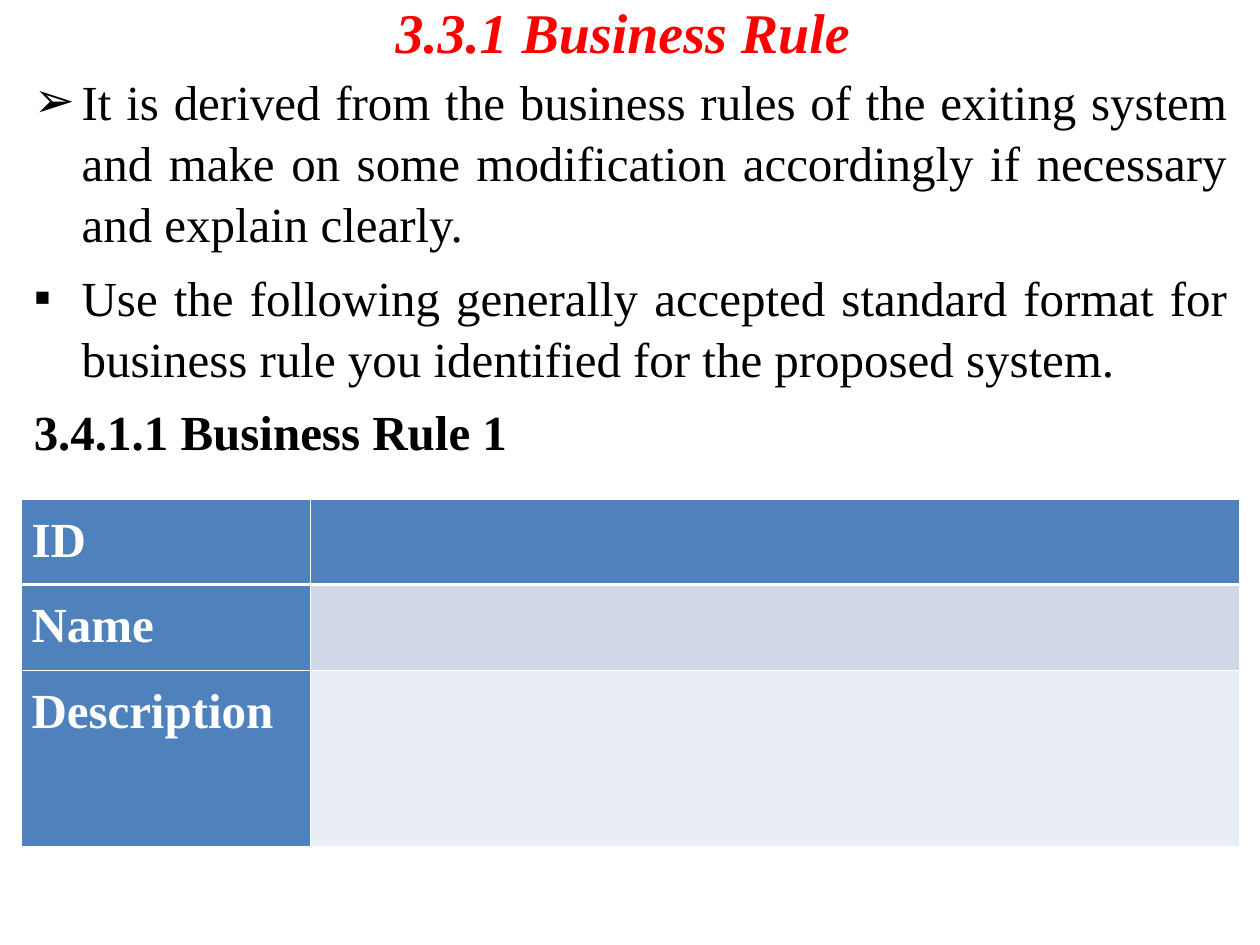
from dataclasses import dataclass

from lxml.etree import SubElement
from pptx import Presentation
from pptx.dml.color import RGBColor
from pptx.enum.text import MSO_ANCHOR, PP_ALIGN
from pptx.oxml.ns import qn
from pptx.util import Inches, Pt

COLORS = {
    "title": "FF0000", "text": "000000", "white": "FFFFFF",
    "header": "4F81BD", "band": "D0D8E8", "light": "E9EDF4",
}
BODY_FONT = {"name": "Times New Roman", "size": Pt(28)}
BOLD_FONT = BODY_FONT | {"bold": True}
TITLE_FONT = BOLD_FONT | {"size": Pt(32), "italic": True}
THIN, THICK = 0.45, 1.47


@dataclass
class BodyItem:
    text: str
    bullet: str = ""
    bold: bool = False


@dataclass
class TableRow:
    label: str
    height: float
    value_fill: str
    top_border: float = THIN
    bottom_border: float = THIN


BODY_ITEMS = [
    BodyItem("It is derived from the business rules of the exiting system and make on "
             "some modification accordingly if necessary and explain clearly.", "➢"),
    BodyItem("Use the following generally accepted standard format for business rule "
             "you identified for the proposed system.", "▪"),
    BodyItem("3.4.1.1 Business Rule 1", bold=True),
]
TABLE_ROWS = [
    TableRow("ID", 0.68, "header", bottom_border=THICK),
    TableRow("Name", 0.68, "band", top_border=THICK),
    TableRow("Description", 1.4, "light"),
]
COLUMN_WIDTHS = [2.29, 7.38]


def color(name: str) -> RGBColor:
    return RGBColor.from_string(COLORS[name])


def format_font(font, values: dict, color_name: str) -> None:
    for attribute, value in values.items():
        setattr(font, attribute, value)
    font.color.rgb = color(color_name)


def add_text_frame(slide, left: float, top: float, width: float, height: float):
    text_frame = slide.shapes.add_textbox(
        Inches(left), Inches(top), Inches(width), Inches(height)).text_frame
    text_frame.word_wrap = True
    return text_frame


def set_bullet(paragraph, character: str) -> None:
    properties = paragraph._p.get_or_add_pPr()
    properties.set("marL", str(Inches(0.38)))
    properties.set("indent", str(Inches(-0.38)))
    if character:
        SubElement(properties, qn("a:buFont"), typeface="Arial")
        SubElement(properties, qn("a:buChar"), char=character)
    else:
        SubElement(properties, qn("a:buNone"))


def set_borders(cell, row: TableRow) -> None:
    properties = cell._tc.get_or_add_tcPr()
    widths = {"lnL": THIN, "lnR": THIN, "lnT": row.top_border, "lnB": row.bottom_border}
    for side, width in widths.items():
        line = SubElement(properties, qn(f"a:{side}"), w=str(Pt(width)))
        fill = SubElement(line, qn("a:solidFill"))
        SubElement(fill, qn("a:srgbClr"), val=COLORS["white"])


def add_title(slide) -> None:
    text_frame = add_text_frame(slide, 0.5, 0, 9, 0.5)
    text_frame.vertical_anchor = MSO_ANCHOR.MIDDLE
    paragraph = text_frame.paragraphs[0]
    paragraph.text = "3.3.1 Business Rule "
    paragraph.alignment = PP_ALIGN.CENTER
    format_font(paragraph.runs[0].font, TITLE_FONT, "title")


def add_body(slide, items: list[BodyItem]) -> None:
    text_frame = add_text_frame(slide, 0.17, 0.5, 9.67, 6.92)
    for index, item in enumerate(items):
        paragraph = text_frame.add_paragraph() if index else text_frame.paragraphs[0]
        paragraph.text = item.text
        paragraph.alignment = PP_ALIGN.JUSTIFY
        paragraph.line_spacing = 1.04
        if index:
            paragraph.space_before = Pt(7)
        set_bullet(paragraph, item.bullet)
        format_font(paragraph.runs[0].font, BOLD_FONT if item.bold else BODY_FONT, "text")


def add_rule_table(slide, rows: list[TableRow]) -> None:
    table = slide.shapes.add_table(
        len(rows), len(COLUMN_WIDTHS), Inches(0.17), Inches(3.96),
        Inches(sum(COLUMN_WIDTHS)), Inches(sum(row.height for row in rows))).table
    for column, width in zip(table.columns, COLUMN_WIDTHS):
        column.width = Inches(width)
    for index, row in enumerate(rows):
        table.rows[index].height = Inches(row.height)
        for cell, fill in zip(table.rows[index].cells, ("header", row.value_fill)):
            cell.margin_left = cell.margin_right = Inches(0.08)
            set_borders(cell, row)
            cell.fill.solid()
            cell.fill.fore_color.rgb = color(fill)
        paragraph = table.cell(index, 0).text_frame.paragraphs[0]
        paragraph.text = row.label
        paragraph.line_spacing = 1.15
        paragraph.space_after = Pt(10)
        format_font(paragraph.runs[0].font, BOLD_FONT, "white")


def main() -> None:
    presentation = Presentation()
    presentation.slide_width = Inches(10)
    presentation.slide_height = Inches(7.5)
    slide = presentation.slides.add_slide(presentation.slide_layouts[6])
    add_title(slide)
    add_body(slide, BODY_ITEMS)
    add_rule_table(slide, TABLE_ROWS)
    presentation.save("out.pptx")


if __name__ == "__main__":
    main()
